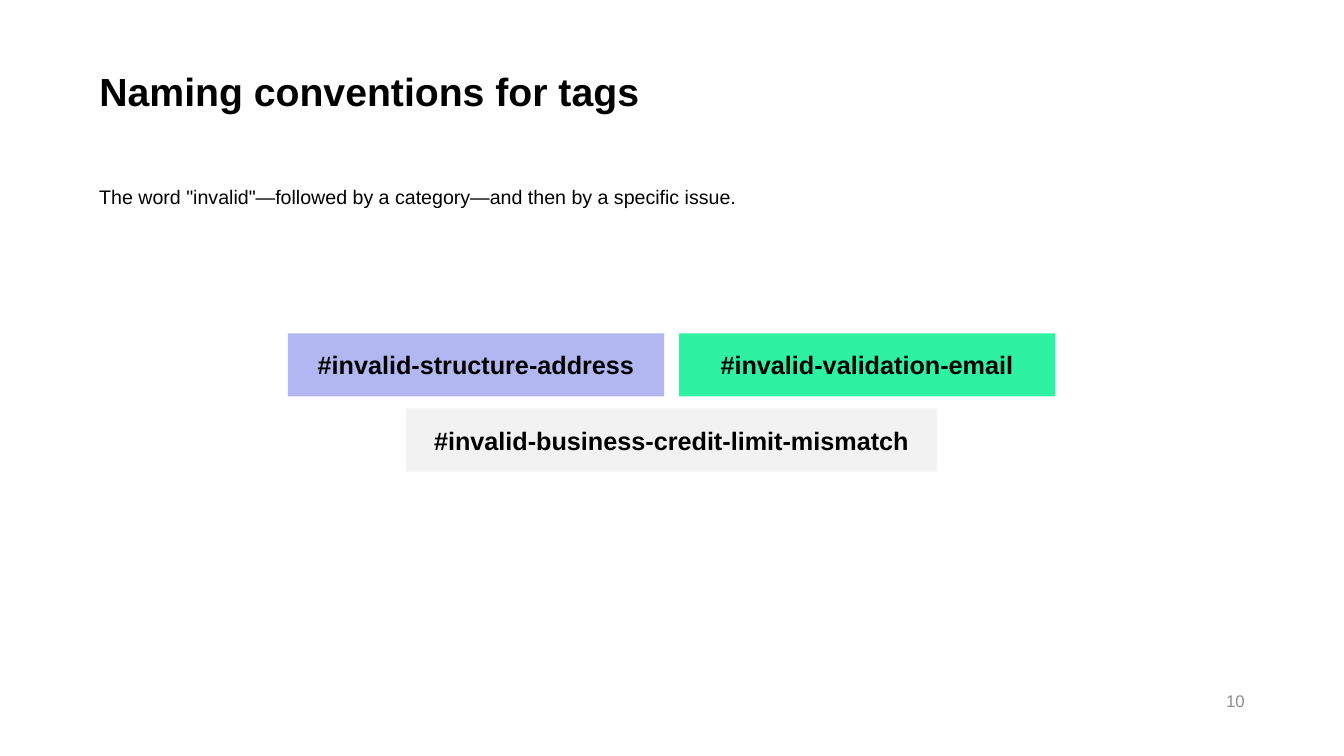
from pptx import Presentation
from pptx.dml.color import RGBColor
from pptx.enum.shapes import MSO_SHAPE
from pptx.enum.text import MSO_ANCHOR, PP_ALIGN
from pptx.util import Cm, Pt

FONT = "Arial"
BLACK = RGBColor(0x00, 0x00, 0x00)
GRAY = RGBColor(0x8C, 0x8C, 0x8C)
LAVENDER = RGBColor(0xB2, 0xB7, 0xF2)
MINT = RGBColor(0x2E, 0xF2, 0xA2)
PALE_GRAY = RGBColor(0xF2, 0xF2, 0xF2)

# Rows of tags: (tag width in cm, [(text, fill), ...])
TAG_ROWS = [
    (14.22, [("#invalid-structure-address", LAVENDER),
             ("#invalid-validation-email", MINT)]),
    (20.09, [("#invalid-business-credit-limit-mismatch", PALE_GRAY)]),
]
TAG_HEIGHT, TAG_GAP, ROW_GAP = 2.39, 0.56, 0.45


def write(sp, text, size, color=BLACK, bold=False, align=PP_ALIGN.LEFT,
          anchor=MSO_ANCHOR.MIDDLE):
    """Put one formatted paragraph in a shape and return it."""
    tf = sp.text_frame
    tf.word_wrap = True
    tf.vertical_anchor = anchor
    p = tf.paragraphs[0]
    p.text = text
    p.alignment = align
    p.font.name = FONT
    p.font.size = Pt(size)
    p.font.bold = bold
    p.font.color.rgb = color
    return p


def add_title(slide, left, top, width, height):
    sp = slide.shapes.title
    sp.left, sp.top, sp.width, sp.height = map(Cm, (left, top, width, height))
    write(sp, "Naming conventions for tags", 42, bold=True).line_spacing = 0.9


def add_rule(slide, left, top, width, height):
    sp = slide.shapes.add_textbox(Cm(left), Cm(top), Cm(width), Cm(height))
    p = write(sp, 'The word "invalid"—followed by a category—and then by a specific issue.',
              21, anchor=MSO_ANCHOR.TOP)
    p.line_spacing = Pt(36)


def add_tags(slide, left, top, width):
    """Stack the rows of tags, each centred in the given width."""
    for row, (tag_width, tags) in enumerate(TAG_ROWS):
        row_width = len(tags) * (tag_width + TAG_GAP) - TAG_GAP
        x = left + (width - row_width) / 2
        y = top + row * (TAG_HEIGHT + ROW_GAP)
        for text, fill in tags:
            sp = slide.shapes.add_shape(MSO_SHAPE.RECTANGLE, Cm(x), Cm(y),
                                        Cm(tag_width), Cm(TAG_HEIGHT))
            sp.shadow.inherit = False
            sp.fill.solid()
            sp.fill.fore_color.rgb = fill
            sp.line.fill.background()
            write(sp, text, 27, bold=True, align=PP_ALIGN.CENTER)
            x += tag_width + TAG_GAP


def add_page_number(slide, left, top, width, height):
    sp = slide.shapes.add_textbox(Cm(left), Cm(top), Cm(width), Cm(height))
    write(sp, "10", 18, GRAY, align=PP_ALIGN.RIGHT)


def main():
    prs = Presentation()
    prs.slide_width, prs.slide_height = Cm(50.8), Cm(28.58)
    slide = prs.slides.add_slide(prs.slide_layouts[5])  # title only

    add_title(slide, 3.5, 1.52, 43.82, 4.04)
    add_rule(slide, 3.5, 6.48, 43.82, 19.28)
    add_page_number(slide, 35.87, 25.73, 11.43, 1.52)
    add_tags(slide, 10.88, 12.6, 29)

    prs.save("out.pptx")


if __name__ == "__main__":
    main()
